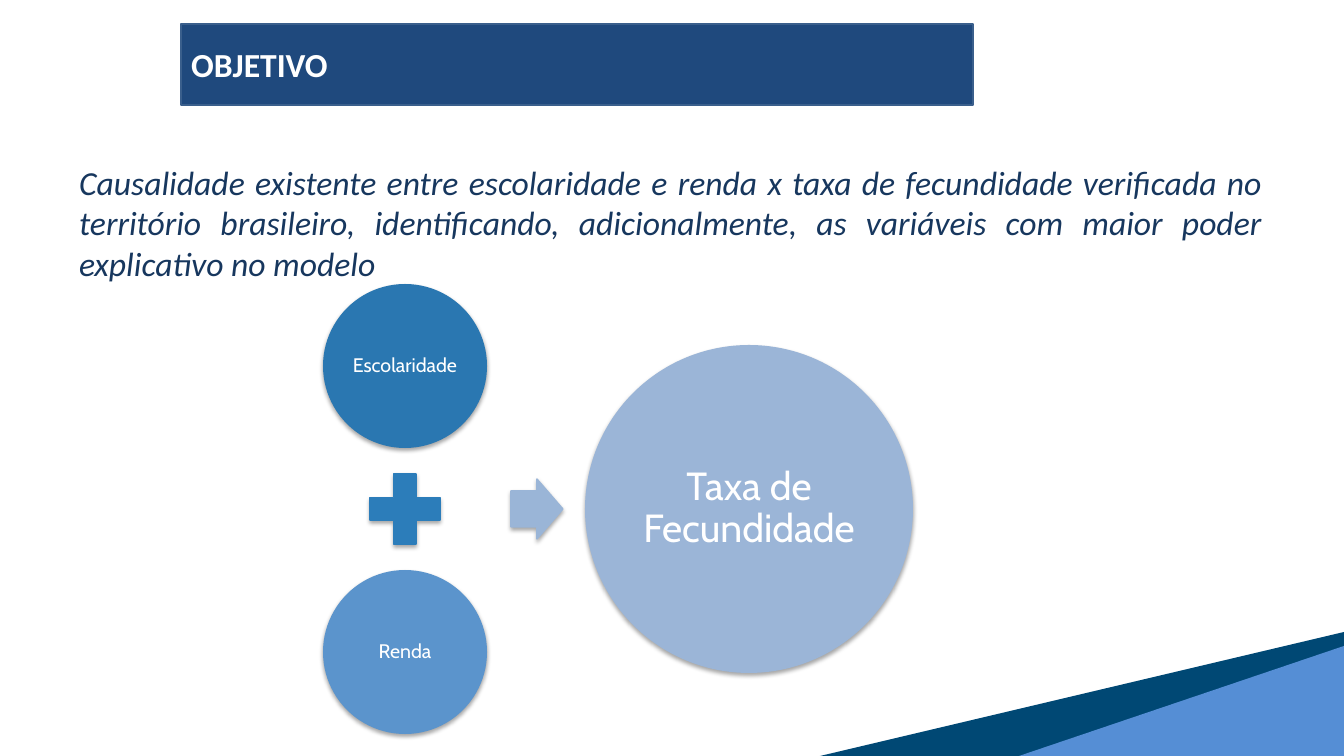
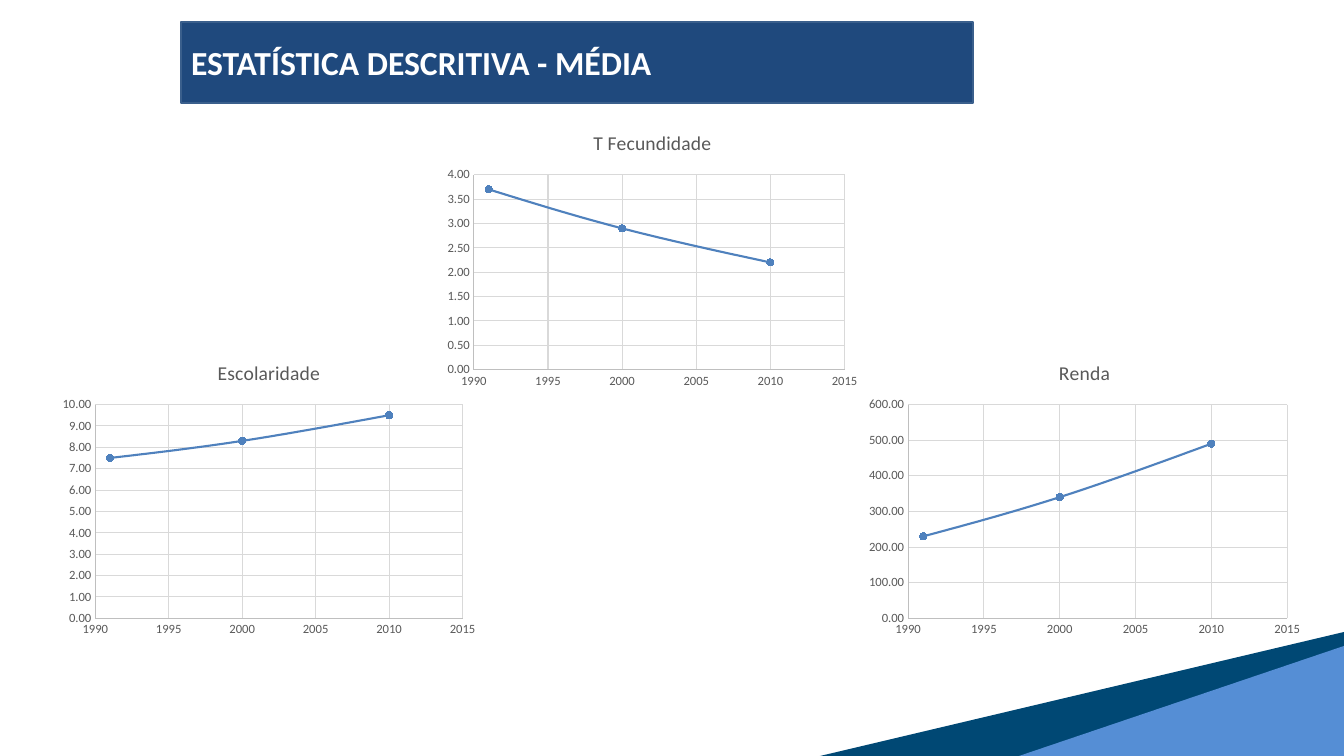
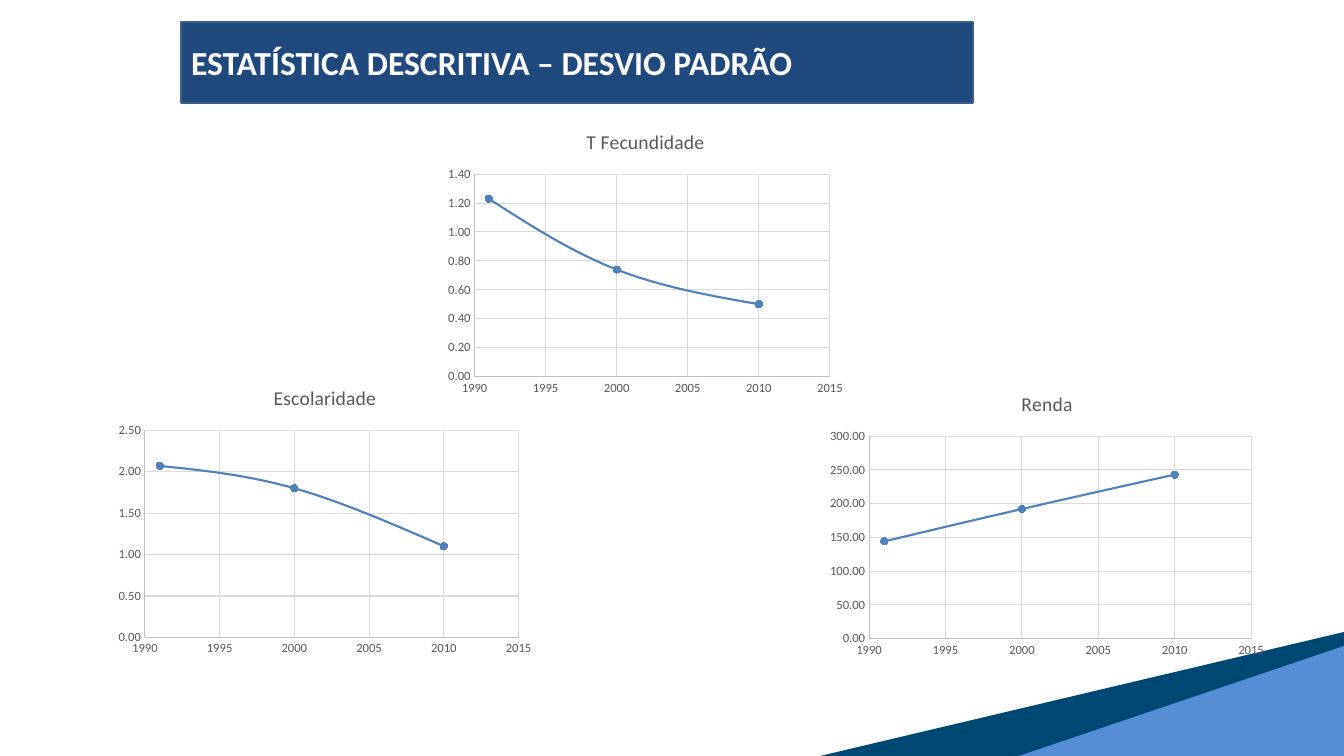
from lxml.etree import SubElement
from pptx import Presentation
from pptx.chart.data import XyChartData
from pptx.dml.color import RGBColor
from pptx.enum.chart import XL_CHART_TYPE, XL_MARKER_STYLE, XL_TICK_MARK
from pptx.enum.shapes import MSO_SHAPE
from pptx.enum.text import MSO_ANCHOR, MSO_AUTO_SIZE, PP_ALIGN
from pptx.oxml.ns import qn
from pptx.util import Emu, Pt

EMU_PER_PX = 914400 / 100.8
SLIDE_WIDTH, SLIDE_HEIGHT = 1344, 756
TITLE_LAYOUT, BODY_LAYOUT = 5, 1
YEARS = (1991, 2000, 2010)
TEXT_FONT, DIAGRAM_FONT = "Calibri", "Cabin"
COLORS = {
    "white": "FFFFFF",
    "black": "000000",
    "band": "1F497D",
    "band_line": "3A5F8C",
    "body": "17375E",
    "dark_wedge": "004874",
    "light_wedge": "558ED5",
    "schooling": "2A77B1",
    "plus": "2C7DBA",
    "income": "5B94CC",
    "arrow": "9AB5D7",
    "fertility": "9BB5D7",
    "series": "4F81BD",
    "chart_text": "595959",
    "axis": "BFBFBF",
    "grid": "D9D9D9",
}


def px(length):
    return Emu(round(length * EMU_PER_PX))


def color(name):
    return RGBColor.from_string(COLORS[name])


def place(shape, box):
    shape.left, shape.top, shape.width, shape.height = map(px, box)


def paint(shape, fill, line=None, line_width=1):
    shape.fill.solid()
    shape.fill.fore_color.rgb = color(fill)
    if line:
        shape.line.color.rgb = color(line)
        shape.line.width = Pt(line_width)
    else:
        shape.line.fill.background()


def style_font(font, size, color_name, name=TEXT_FONT, bold=False, italic=False):
    font.name = name
    font.size = Pt(size)
    font.bold = bold
    font.italic = italic
    font.color.rgb = color(color_name)


def style_line(line, color_name, width):
    line.color.rgb = color(color_name)
    line.width = Pt(width)


def add_master_wedges(presentation, slide):
    master_tree = presentation.slide_master.shapes.element
    for left, top, fill in ((820, 632, "dark_wedge"), (1019, 646, "light_wedge")):
        builder = slide.shapes.build_freeform(left, SLIDE_HEIGHT, scale=EMU_PER_PX)
        builder.add_line_segments([(SLIDE_WIDTH, top), (SLIDE_WIDTH, SLIDE_HEIGHT)])
        wedge = builder.convert_to_shape()
        wedge.shadow.inherit = False
        paint(wedge, fill)
        master_tree.append(wedge.element)


def add_titled_slide(presentation, layout_index, text, title_top):
    slide = presentation.slides.add_slide(presentation.slide_layouts[layout_index])
    title = slide.shapes.title
    place(title, (181, title_top, 792, 81))
    paint(title, "band", "band_line", 2)
    frame = title.text_frame
    frame.text = text
    frame.word_wrap = True
    frame.auto_size = MSO_AUTO_SIZE.NONE
    frame.vertical_anchor = MSO_ANCHOR.MIDDLE
    paragraph = frame.paragraphs[0]
    paragraph.alignment = PP_ALIGN.LEFT
    style_font(paragraph.font, 24, "white", bold=True)
    return slide


def fill_body(body, box, text):
    place(body, box)
    frame = body.text_frame
    frame.text = text
    frame.word_wrap = True
    frame.auto_size = MSO_AUTO_SIZE.NONE
    paragraph = frame.paragraphs[0]
    paragraph.alignment = PP_ALIGN.JUSTIFY
    paragraph.space_before = Pt(0)
    style_font(paragraph.font, 24, "body", italic=True)
    properties = paragraph._p.get_or_add_pPr()
    properties.set("marL", "0")
    properties.set("indent", "0")
    SubElement(properties, qn("a:buNone"))


def add_soft_shadow(shape):
    shape.shadow.inherit = False
    effects = shape.element.spPr.find(qn("a:effectLst"))
    shadow = SubElement(
        effects, qn("a:outerShdw"),
        blurRad=str(Pt(3)), dist=str(Pt(2)), dir="5400000", rotWithShape="0",
    )
    shadow_color = SubElement(shadow, qn("a:srgbClr"), val=COLORS["black"])
    SubElement(shadow_color, qn("a:alpha"), val="35000")


def add_diagram_shape(slide, kind, box, fill, line=None):
    shape = slide.shapes.add_shape(kind, *map(px, box))
    paint(shape, fill, line)
    add_soft_shadow(shape)
    return shape


def add_circle(slide, left, top, diameter, fill, text, size, inset):
    circle = add_diagram_shape(
        slide, MSO_SHAPE.OVAL, (left, top, diameter, diameter), fill)
    frame = circle.text_frame
    frame.word_wrap = True
    frame.vertical_anchor = MSO_ANCHOR.MIDDLE
    frame.margin_left = frame.margin_right = px(inset)
    frame.margin_top = frame.margin_bottom = px(inset)
    frame.text = text
    paragraph = frame.paragraphs[0]
    paragraph.alignment = PP_ALIGN.CENTER
    paragraph.line_spacing = 0.9
    style_font(paragraph.font, size, "white", DIAGRAM_FONT)


def add_equation(slide, box):
    left, top, width, height = box
    small, large, plus_size = 164, 328, 95
    arrow_width, arrow_height = 52, 60
    middle = top + height / 2
    add_circle(slide, left, top, small, "schooling", "Escolaridade", 14, 2)
    add_diagram_shape(
        slide, MSO_SHAPE.MATH_PLUS,
        (left + (small - plus_size) / 2, middle - plus_size / 2, plus_size, plus_size),
        "plus", "plus")
    add_circle(slide, left, top + height - small, small, "income", "Renda", 14, 2)
    arrow = add_diagram_shape(
        slide, MSO_SHAPE.RIGHT_ARROW,
        (left + small + 24, middle - arrow_height / 2, arrow_width, arrow_height),
        "arrow", "arrow")
    arrow.adjustments[0] = 0.6
    arrow.adjustments[1] = 0.5
    add_circle(slide, left + width - large, middle - large / 2, large,
               "fertility", "Taxa de Fecundidade", 28, 4)


def style_axis(axis, minimum, maximum, step, number_format):
    axis.minimum_scale, axis.maximum_scale, axis.major_unit = minimum, maximum, step
    axis.major_tick_mark = axis.minor_tick_mark = XL_TICK_MARK.NONE
    axis.has_major_gridlines = True
    style_line(axis.major_gridlines.format.line, "grid", 0.75)
    style_line(axis.format.line, "axis", 0.75)
    labels = axis.tick_labels
    labels.number_format = number_format
    labels.number_format_is_linked = False
    style_font(labels.font, 9, "chart_text")


def add_trend_chart(slide, box, name, values, maximum, step):
    data = XyChartData()
    points = data.add_series(name)
    for year, value in zip(YEARS, values):
        points.add_data_point(year, value)
    chart = slide.shapes.add_chart(
        XL_CHART_TYPE.XY_SCATTER_SMOOTH, *map(px, box), data).chart
    style_font(chart.font, 10, "black")
    chart.has_legend = False
    chart.has_title = True
    title = chart.chart_title.text_frame
    title.text = name
    style_font(title.paragraphs[0].font, 14, "chart_text")
    style_axis(chart.category_axis, 1990, 2015, 5, "General")
    style_axis(chart.value_axis, 0, maximum, step, "0.00")
    plot = chart.plots[0]
    plot.vary_by_categories = False
    series = plot.series[0]
    style_line(series.format.line, "series", 1.5)
    series.marker.style = XL_MARKER_STYLE.CIRCLE
    series.marker.size = 5
    marker_format = series.marker.format
    marker_format.fill.solid()
    marker_format.fill.fore_color.rgb = color("series")
    style_line(marker_format.line, "series", 0.75)
    for smooth in chart.element.iter(qn("c:smooth")):
        smooth.set("val", "1")


def add_objective_slide(presentation):
    slide = add_titled_slide(presentation, BODY_LAYOUT, "OBJETIVO", 24)
    fill_body(
        slide.placeholders[1], (69, 157, 1203, 132),
        "Causalidade existente entre escolaridade e renda x taxa de fecundidade "
        "verificada no território brasileiro, identificando, adicionalmente, as "
        "variáveis com maior poder explicativo no modelo")
    add_equation(slide, (323, 284, 590, 450))
    return slide


def add_statistics_slide(presentation, title, charts):
    slide = add_titled_slide(presentation, TITLE_LAYOUT, title, 22)
    for chart in charts:
        add_trend_chart(slide, *chart)


def main():
    presentation = Presentation()
    presentation.slide_width = px(SLIDE_WIDTH)
    presentation.slide_height = px(SLIDE_HEIGHT)
    objective = add_objective_slide(presentation)
    add_master_wedges(presentation, objective)
    add_statistics_slide(presentation, "ESTATÍSTICA DESCRITIVA - MÉDIA", (
        ((439, 115, 427, 279), "T Fecundidade", (3.7, 2.9, 2.2), 4, 0.5),
        ((54, 344, 430, 299), "Escolaridade", (7.5, 8.3, 9.5), 10, 1),
        ((860, 344, 449, 299), "Renda", (230, 340, 490), 600, 100),
    ))
    add_statistics_slide(presentation, "ESTATÍSTICA DESCRITIVA – DESVIO PADRÃO", (
        ((440, 114, 411, 287), "T Fecundidade", (1.23, 0.74, 0.5), 1.4, 0.2),
        ((110, 370, 430, 292), "Escolaridade", (2.07, 1.8, 1.1), 2.5, 0.5),
        ((821, 376, 452, 287), "Renda", (144, 192, 243), 300, 50),
    ))
    presentation.save("out.pptx")


if __name__ == "__main__":
    main()
